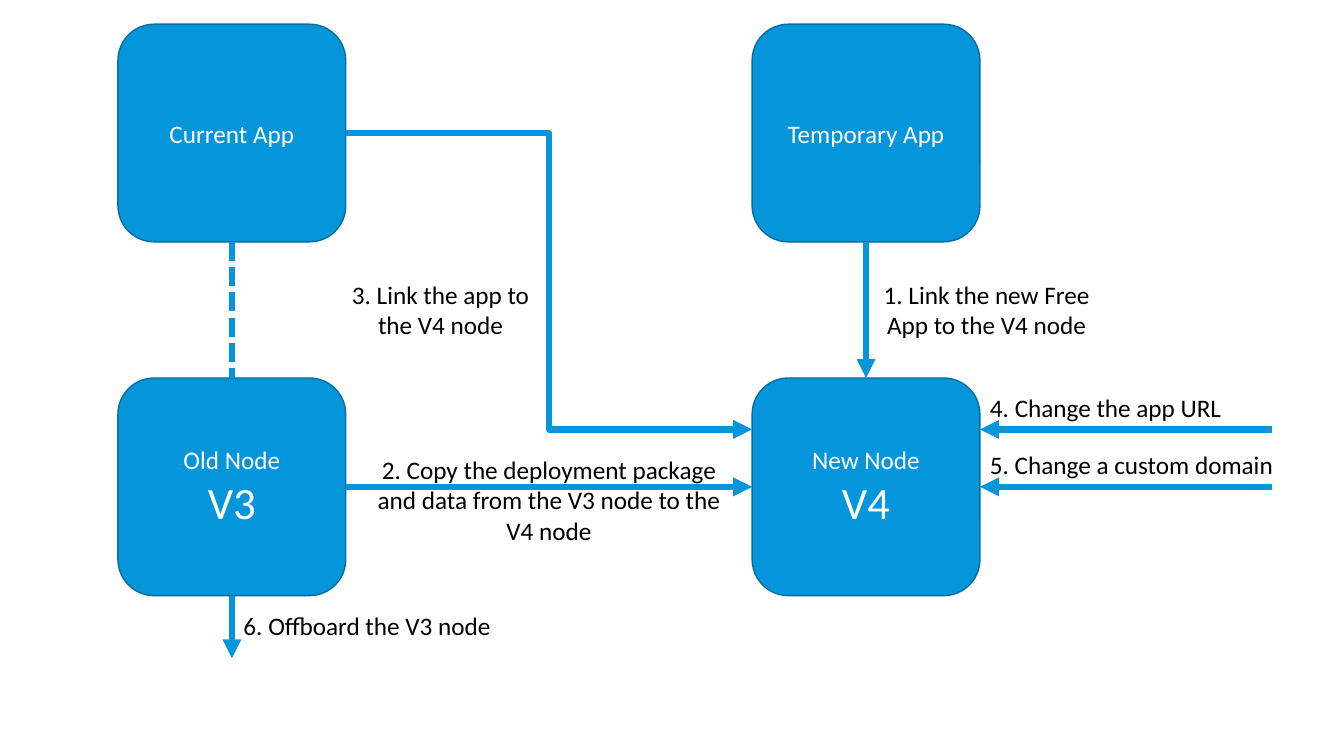
from lxml.etree import SubElement
from pptx import Presentation
from pptx.dml.color import RGBColor
from pptx.enum.dml import MSO_LINE
from pptx.enum.shapes import MSO_CONNECTOR, MSO_SHAPE
from pptx.enum.text import MSO_ANCHOR, PP_ALIGN
from pptx.oxml.ns import qn
from pptx.util import Pt

EMU_PER_PX = 9144
TOP, LEFT, BOTTOM, RIGHT = range(4)


def px(n):
    return n * EMU_PER_PX


def rgb(value):
    return RGBColor.from_string(value)


class Diagram:
    font = "Calibri"
    blue, edge, white, black = "0595DB", "046EA2", "FFFFFF", "000000"
    node_w, node_h = 226, 216

    def __init__(self, prs):
        self.s = prs.slides.add_slide(prs.slide_layouts[6])

    def set_text(self, tf, text, color, align, sizes):
        tf.word_wrap = True
        tf.text = text
        for p, size in zip(tf.paragraphs, sizes):
            p.alignment = align
            for r in p.runs:
                r.font.name = self.font
                r.font.size = Pt(size)
                r.font.color.rgb = rgb(color)

    def node(self, x, y, text):
        sp = self.s.shapes.add_shape(MSO_SHAPE.ROUNDED_RECTANGLE, px(x), px(y),
                                     px(self.node_w), px(self.node_h))
        sp.shadow.inherit = False
        sp.fill.solid()
        sp.fill.fore_color.rgb = rgb(self.blue)
        sp.line.color.rgb = rgb(self.edge)
        sp.line.width = Pt(1)
        sp.text_frame.vertical_anchor = MSO_ANCHOR.MIDDLE
        self.set_text(sp.text_frame, text, self.white, PP_ALIGN.CENTER, (18, 32))
        return sp

    def label(self, x, y, w, h, text, align=PP_ALIGN.CENTER):
        sp = self.s.shapes.add_textbox(px(x), px(y), px(w), px(h))
        self.set_text(sp.text_frame, text, self.black, align, (18,))

    def link(self, start=(0, 0), end=(0, 0), begin_at=None, end_at=None,
             kind=MSO_CONNECTOR.STRAIGHT, dotted=False):
        c = self.s.shapes.add_connector(kind, *map(px, start + end))
        if begin_at:
            c.begin_connect(*begin_at)
        if end_at:
            c.end_connect(*end_at)
        c.line.color.rgb = rgb(self.blue)
        c.line.width = Pt(4.5)
        spPr = c._element.spPr
        if dotted:
            c.line.dash_style = MSO_LINE.SQUARE_DOT
        else:
            SubElement(spPr.find(qn("a:ln")), qn("a:tailEnd"), type="triangle")
        SubElement(spPr, qn("a:effectLst"))


def main():
    prs = Presentation()
    prs.slide_width, prs.slide_height = px(1333), px(750)
    d = Diagram(prs)

    current = d.node(117, 24, "Current App")
    temporary = d.node(746, 24, "Temporary App")
    old = d.node(117, 375, "Old Node\nV3")
    new = d.node(746, 375, "New Node\nV4")

    d.link(begin_at=(temporary, BOTTOM), end_at=(new, TOP))
    d.link(begin_at=(old, RIGHT), end_at=(new, LEFT))
    d.link(end=(746, 426), begin_at=(current, RIGHT), kind=MSO_CONNECTOR.ELBOW)
    d.link(begin_at=(current, BOTTOM), end_at=(old, TOP), dotted=True)
    d.link(start=(1262, 426), end=(972, 426))
    d.link(start=(1262, 483), end_at=(new, RIGHT))
    d.link(end=(230, 653), begin_at=(old, BOTTOM))

    d.label(859, 272, 239, 71, "1. Link the new Free App to the V4 node")
    d.label(363, 446, 363, 101, "2. Copy the deployment package and data "
            "from the V3 node to the V4 node")
    d.label(330, 272, 214, 71, "3. Link the app to the V4 node")
    d.label(972, 384, 291, 40, "4. Change the app URL", PP_ALIGN.LEFT)
    d.label(972, 441, 304, 40, "5. Change a custom domain", PP_ALIGN.LEFT)
    d.label(230, 601, 268, 40, "6. Offboard the V3 node")

    prs.save("out.pptx")


if __name__ == "__main__":
    main()
